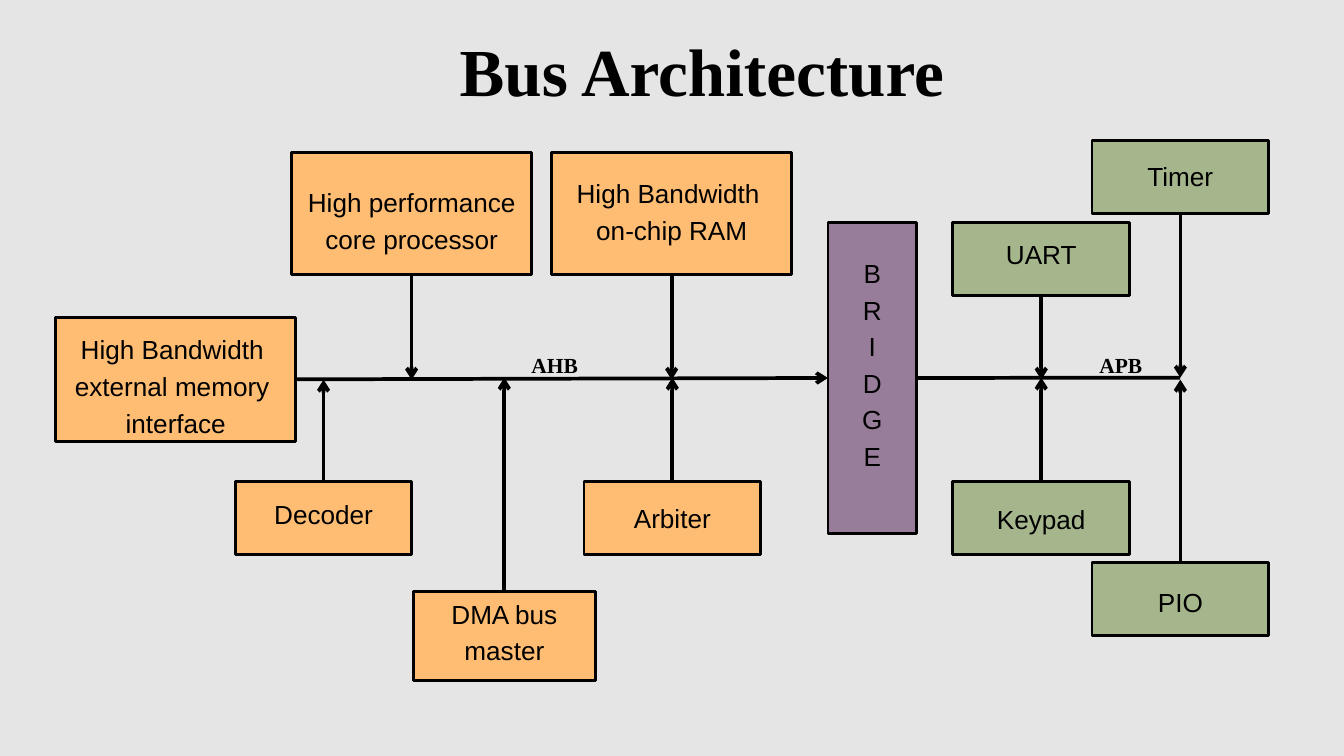
from lxml import etree
from pptx import Presentation
from pptx.dml.color import RGBColor
from pptx.enum.shapes import MSO_CONNECTOR as Link, MSO_SHAPE as Shape
from pptx.enum.text import MSO_ANCHOR as Anchor, MSO_AUTO_SIZE as Fit, PP_ALIGN as Align
from pptx.oxml.ns import qn
from pptx.util import Inches, Pt

BLACK = RGBColor(0x00, 0x00, 0x00)
GREY = RGBColor(0xE5, 0xE5, 0xE5)
ORANGE = RGBColor(0xFF, 0xBD, 0x73)
PURPLE = RGBColor(0x98, 0x7D, 0x9A)
GREEN = RGBColor(0xA5, 0xB6, 0x8D)

TOP, LEFT, BOTTOM, RIGHT = range(4)
HIGH, LOW = 5.62, 5.65
WIDE, SLIM = (3.57, 1.81), (2.63, 1.09)

NODES = {
    "memory": ("High Bandwidth \nexternal memory \ninterface", 0.83, 4.72, (3.57, 1.85), ORANGE, 0.06),
    "core": ("High performance core processor", 4.34, 2.27, WIDE, ORANGE, 0.07),
    "ram": ("High Bandwidth \non-chip RAM", 8.21, 2.27, WIDE, ORANGE, -0.07),
    "dma": ("DMA bus master", 6.15, 8.8, (2.71, 1.33), ORANGE, -0.1),
    "decoder": ("Decoder", 3.5, 7.16, SLIM, ORANGE, -0.09),
    "arbiter": ("Arbiter", 8.69, 7.16, SLIM, ORANGE, -0.04),
    "bridge": ("\n".join("BRIDGE"), 12.32, 3.31, (1.32, 4.63), PURPLE, -0.24),
    "uart": ("UART", 14.18, 3.31, SLIM, GREEN, -0.12),
    "timer": ("Timer", 16.25, 2.09, SLIM, GREEN, -0.06),
    "keypad": ("Keypad", 14.18, 7.16, SLIM, GREEN, -0.02),
    "pio": ("PIO", 16.25, 8.37, SLIM, GREEN, 0),
}

DROPS = [
    ("core", BOTTOM, LOW), ("ram", BOTTOM, LOW), ("uart", BOTTOM, LOW),
    ("timer", BOTTOM, HIGH), ("pio", TOP, LOW), ("keypad", TOP, HIGH),
    ("arbiter", TOP, HIGH), ("dma", TOP, HIGH), ("decoder", TOP, LOW),
]


def write(frame, text, size=28, font="Arial", bold=False, align=Align.CENTER,
          anchor=Anchor.TOP, side=0, shift=0):
    frame.word_wrap = True
    frame.auto_size = Fit.NONE
    frame.vertical_anchor = anchor
    frame.margin_left = frame.margin_right = Inches(side)
    frame.margin_top = Inches(max(2 * shift, 0))
    frame.margin_bottom = Inches(max(-2 * shift, 0))
    frame.text = text
    for para in frame.paragraphs:
        para.alignment = align
        para.line_spacing = Pt(size * 1.4)
        para.space_before = Pt(0)
        para.font.size = Pt(size)
        para.font.name = font
        para.font.bold = bold
        para.font.color.rgb = BLACK


def add_node(slide, text, x, y, size, fill, shift):
    node = slide.shapes.add_shape(Shape.RECTANGLE, Inches(x), Inches(y), *map(Inches, size))
    node.shadow.inherit = False
    node.fill.solid()
    node.fill.fore_color.rgb = fill
    node.line.color.rgb = BLACK
    node.line.width = Pt(3)
    write(node.text_frame, text, anchor=Anchor.MIDDLE, side=0.06, shift=shift)
    return node


def add_wire(slide, node, side, x, y, arrow=True):
    wire = slide.shapes.add_connector(Link.STRAIGHT, x, y, x, y)
    wire.begin_connect(node, side)
    wire.line.color.rgb = BLACK
    wire.line.width = Pt(4)
    if arrow:
        line = wire.line._get_or_add_ln()
        etree.SubElement(line, qn("a:tailEnd"), type="arrow", w="med", len="med")
    etree.SubElement(wire._element.spPr, qn("a:effectLst"))
    return wire


def add_label(slide, text, x, y, width):
    box = slide.shapes.add_textbox(Inches(x), Inches(y), Inches(width), Inches(0.45))
    write(box.text_frame, text, size=23, font="Times New Roman", bold=True)


def set_title(slide, text):
    title = slide.shapes.title
    title.left, title.top = Inches(6.84), Inches(0.23)
    title.width, title.height = Inches(9.77), Inches(1.41)
    write(title.text_frame, text, size=72, font="Times New Roman", bold=True, align=Align.LEFT)


def main():
    deck = Presentation()
    deck.slide_width, deck.slide_height = Inches(20), Inches(11.25)
    slide = deck.slides.add_slide(deck.slide_layouts[5])
    slide.background.fill.solid()
    slide.background.fill.fore_color.rgb = GREY
    set_title(slide, "Bus Architecture")

    nodes = {name: add_node(slide, *spot) for name, spot in NODES.items()}
    bridge = nodes["bridge"]
    ahb = add_wire(slide, nodes["memory"], RIGHT, bridge.left, Inches(HIGH))
    ahb.end_connect(bridge, LEFT)
    add_wire(slide, bridge, RIGHT, Inches(17.56), Inches(HIGH), arrow=False)
    for name, side, y in DROPS:
        node = nodes[name]
        add_wire(slide, node, side, node.left + node.width // 2, Inches(y))

    add_label(slide, "AHB ", 7.28, 5.17, 2.03)
    add_label(slide, "APB", 16.18, 5.17, 1)
    deck.save("out.pptx")


if __name__ == "__main__":
    main()
